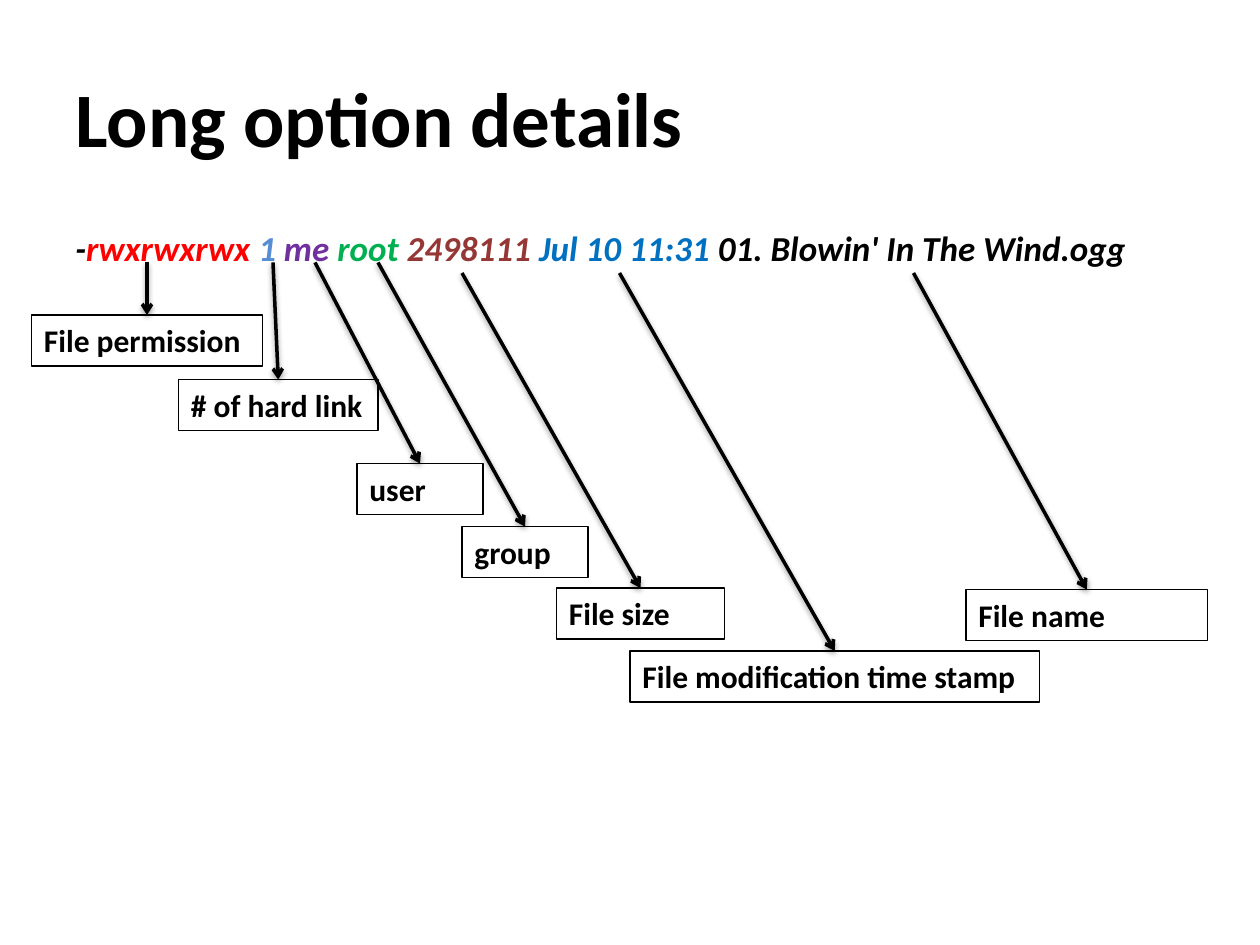
from lxml import etree
from pptx import Presentation
from pptx import util as u
from pptx.dml import color
from pptx.enum import shapes, text
from pptx.oxml import ns

HUES = {
    "ink": "000000", "red": "FF0000", "sky": "558ED5", "plum": "7030A0",
    "green": "00B050", "brown": "953735", "blue": "0070C0",
}
COLS, ROWS = 120, 90


class Deck:
    font = "Calibri"

    def __init__(self):
        self.prs = Presentation()
        self.prs.slide_width, self.prs.slide_height = u.Inches(10), u.Inches(7.5)
        self.slide = self.prs.slides.add_slide(self.prs.slide_layouts[6])

    def x(self, col):
        return round(self.prs.slide_width * col / COLS)

    def y(self, row):
        return round(self.prs.slide_height * row / ROWS)

    def hue(self, name):
        return color.RGBColor.from_string(HUES[name])

    def text(self, area, runs, size, italic=False, anchor="TOP", before=0):
        left, top, wide, high = area
        box = self.slide.shapes.add_textbox(
            self.x(left), self.y(top), self.x(wide), self.y(high))
        frame = box.text_frame
        frame.word_wrap = True
        frame.vertical_anchor = text.MSO_ANCHOR[anchor]
        para = frame.paragraphs[0]
        para.space_before = u.Pt(before)
        for words, name in runs:
            run = para.add_run()
            run.text = words
            font = run.font
            font.name, font.size = self.font, u.Pt(size)
            font.bold, font.italic = True, italic
            font.color.rgb = self.hue(name)
        return box

    def label(self, area, words):
        box = self.text(area, [(words, "ink")], 18)
        box.text_frame.auto_size = text.MSO_AUTO_SIZE.SHAPE_TO_FIT_TEXT
        box.line.color.rgb = self.hue("ink")
        box.line.width = u.Pt(0.75)

    def arrow(self, start, end):
        line = self.slide.shapes.add_connector(
            shapes.MSO_CONNECTOR.STRAIGHT, self.x(start[0]), self.y(start[1]),
            self.x(end[0]), self.y(end[1]))
        line.line.color.rgb = self.hue("ink")
        line.line.width = u.Pt(2)
        props = line._element.spPr
        etree.SubElement(props.find(ns.qn("a:ln")), ns.qn("a:tailEnd"), type="arrow")
        fx = etree.SubElement(props, ns.qn("a:effectLst"))
        shade = etree.SubElement(
            fx, ns.qn("a:outerShdw"), blurRad="40000", dist="20000",
            dir="5400000", rotWithShape="0")
        tint = etree.SubElement(shade, ns.qn("a:srgbClr"), val=HUES["ink"])
        etree.SubElement(tint, ns.qn("a:alpha"), val="38000")


deck = Deck()
deck.text((6, 3.6, 108, 15), [("Long option details", "ink")], 44, anchor="MIDDLE")
deck.text((6, 21, 108, 59.4), [
    ("-", "ink"),
    ("rwxrwxrwx ", "red"),
    ("1 ", "sky"),
    ("me ", "plum"),
    ("root ", "green"),
    ("2498111 ", "brown"),
    ("Jul 10 11:31 ", "blue"),
    ("01. Blowin' In The Wind.ogg", "ink"),
], 20, italic=True, before=4)

FIELDS = [
    ("File permission", 3, 30, 22, (14, 25)),
    ("# of hard link", 17, 36.15, 19, (26, 25)),
    ("user", 34, 44.15, 12, (30, 25)),
    ("group", 44, 50.15, 12, (36, 25)),
    ("File size", 53, 56, 16, (44, 26)),
    ("File modification time stamp", 60, 62, 39, (59, 26)),
    ("File name", 92, 56.15, 23, (87, 26)),
]
for words, left, top, wide, start in FIELDS:
    deck.label((left, top, wide, 4.85), words)
    deck.arrow(start, (left + wide / 2, top))

deck.prs.save("out.pptx")
